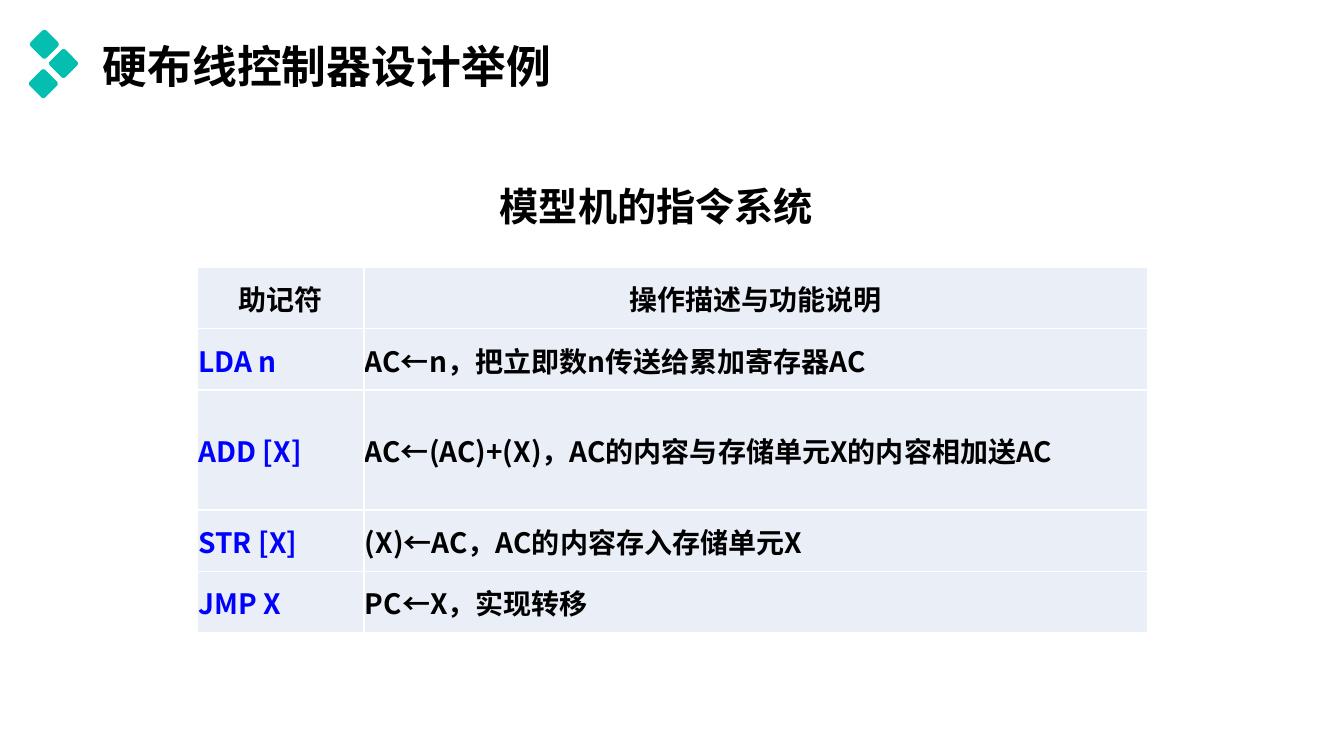
from typing import NamedTuple

from lxml import etree
from pptx import Presentation
from pptx.dml.color import RGBColor
from pptx.enum import shapes, text
from pptx.oxml import ns
from pptx.util import Inches, Pt

FONT = "Noto Sans CJK SC"
COLORS = {"text": "000000", "code": "0000FF", "cell": "EAEFF7",
          "border": "FFFFFF", "accent": "04BEB0"}
CENTER = text.PP_ALIGN.CENTER
LEFT = text.PP_ALIGN.LEFT
MIDDLE = text.MSO_ANCHOR.MIDDLE


class Heading(NamedTuple):
    words: str
    left: float
    top: float
    width: float
    height: float
    size: int
    align: text.PP_ALIGN
    anchor: text.MSO_ANCHOR
    spacing: float


class Diamond(NamedTuple):
    center_x: float
    center_y: float


class Instruction(NamedTuple):
    mnemonic: str
    description: str
    height: float = 0.61


HEADINGS = [
    Heading("硬布线控制器设计举例", 0.92, -0.04, 11.5, 1.45, 32, LEFT, MIDDLE, 0.9),
    Heading("模型机的指令系统", 4.75, 1.76, 3.52, 0.57, 28, CENTER,
            text.MSO_ANCHOR.TOP, 1.0),
]
DIAMONDS = [Diamond(0.44, 0.44), Diamond(0.63, 0.63), Diamond(0.43, 0.83)]
DIAMOND_SIDE = 0.22
INSTRUCTIONS = [
    Instruction("助记符", "操作描述与功能说明"),
    Instruction("LDA n", "AC←n，把立即数n传送给累加寄存器AC"),
    Instruction("ADD [X]", "AC←(AC)+(X)，AC的内容与存储单元X的内容相加送AC", 1.19),
    Instruction("STR [X]", "(X)←AC，AC的内容存入存储单元X"),
    Instruction("JMP X", "PC←X，实现转移"),
]
COLUMN_WIDTHS = [1.65, 7.77]
CELL_FORMAT = {"margin_left": Inches(0.01), "margin_right": Inches(0.01),
               "margin_top": Inches(0.01), "margin_bottom": 0,
               "vertical_anchor": MIDDLE}


def rgb(name: str) -> RGBColor:
    return RGBColor.from_string(COLORS[name])


def set_format(target, values: dict) -> None:
    for name, value in values.items():
        setattr(target, name, value)


def write(tf, words: str, size: int, align, color: str = "text") -> None:
    """Fill the first paragraph, with one font for Latin and Chinese."""
    p = tf.paragraphs[0]
    p.alignment = align
    r = p.add_run()
    r.text = words
    set_format(r.font, {"size": Pt(size), "bold": True, "name": FONT})
    r.font.color.rgb = rgb(color)
    ea = etree.SubElement(r.font._element, ns.qn("a:ea"))
    ea.set("typeface", FONT)


def add_heading(s, h: Heading) -> None:
    box = s.shapes.add_textbox(*map(Inches, (h.left, h.top, h.width, h.height)))
    tf = box.text_frame
    set_format(tf, {"word_wrap": True, "vertical_anchor": h.anchor})
    write(tf, h.words, h.size, h.align)
    tf.paragraphs[0].line_spacing = h.spacing


def add_diamond(s, d: Diamond) -> None:
    half = DIAMOND_SIDE / 2
    sp = s.shapes.add_shape(
        shapes.MSO_SHAPE.ROUNDED_RECTANGLE, Inches(d.center_x - half),
        Inches(d.center_y - half), Inches(DIAMOND_SIDE), Inches(DIAMOND_SIDE))
    sp.adjustments[0] = 0.13
    sp.rotation = 45
    sp.shadow.inherit = False
    sp.fill.solid()
    sp.fill.fore_color.rgb = rgb("accent")
    sp.line.fill.background()


def add_borders(cell) -> None:
    props = cell._tc.get_or_add_tcPr()
    for i, side in enumerate(("a:lnL", "a:lnR", "a:lnT", "a:lnB")):
        ln = etree.Element(ns.qn(side), w=str(Pt(1)))
        fill = etree.SubElement(ln, ns.qn("a:solidFill"))
        etree.SubElement(fill, ns.qn("a:srgbClr"), val=COLORS["border"])
        props.insert(i, ln)


def add_instruction_table(s) -> None:
    height = sum(row.height for row in INSTRUCTIONS)
    table = s.shapes.add_table(
        len(INSTRUCTIONS), len(COLUMN_WIDTHS), Inches(1.96), Inches(2.65),
        Inches(sum(COLUMN_WIDTHS)), Inches(height)).table
    set_format(table, {"first_row": False, "horz_banding": False})
    for column, width in zip(table.columns, COLUMN_WIDTHS):
        column.width = Inches(width)
    for i, row in enumerate(INSTRUCTIONS):
        table.rows[i].height = Inches(row.height)
        for j, words in enumerate((row.mnemonic, row.description)):
            cell = table.cell(i, j)
            set_format(cell, CELL_FORMAT)
            cell.fill.solid()
            cell.fill.fore_color.rgb = rgb("cell")
            add_borders(cell)
            color = "code" if i > 0 and j == 0 else "text"
            write(cell.text_frame, words, 20, LEFT if i else CENTER, color)


def main() -> None:
    prs = Presentation()
    set_format(prs, {"slide_width": Inches(13.33), "slide_height": Inches(7.5)})
    s = prs.slides.add_slide(prs.slide_layouts[6])
    for heading in HEADINGS:
        add_heading(s, heading)
    add_instruction_table(s)
    for diamond in DIAMONDS:
        add_diamond(s, diamond)
    prs.save("out.pptx")


if __name__ == "__main__":
    main()
